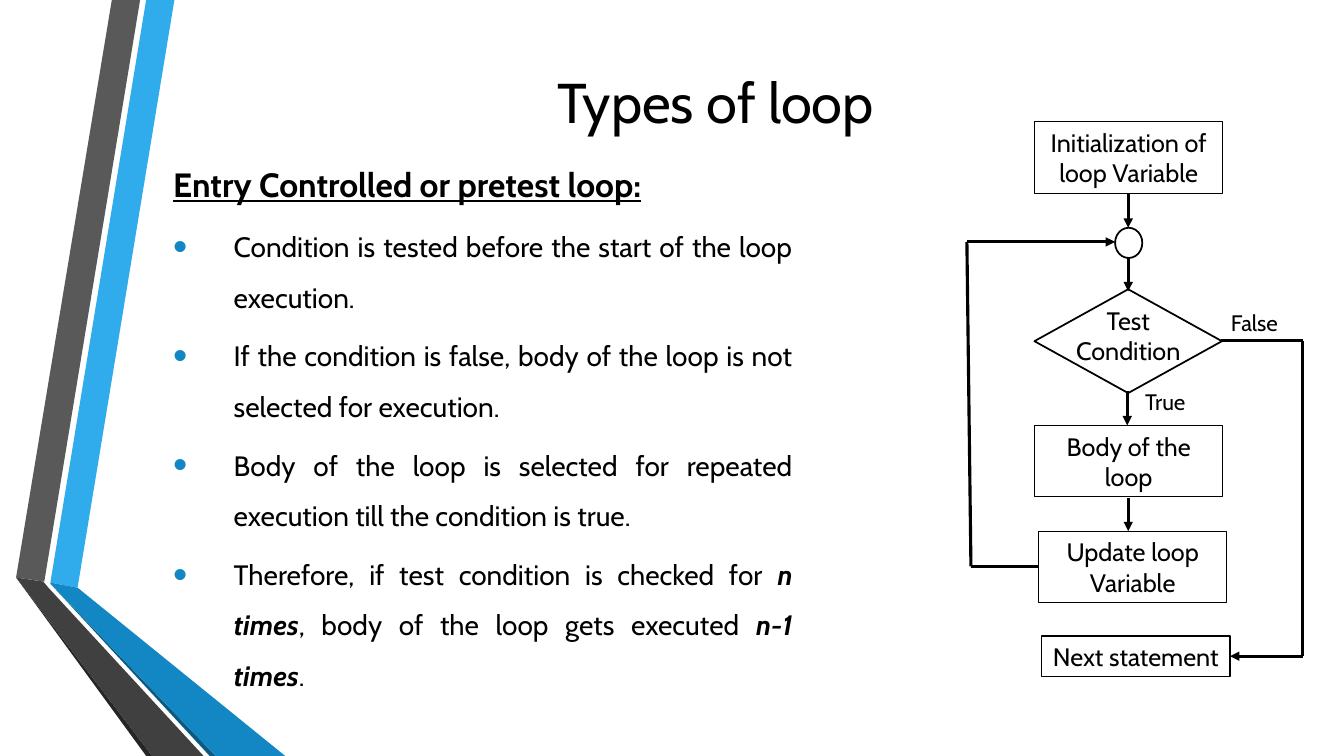
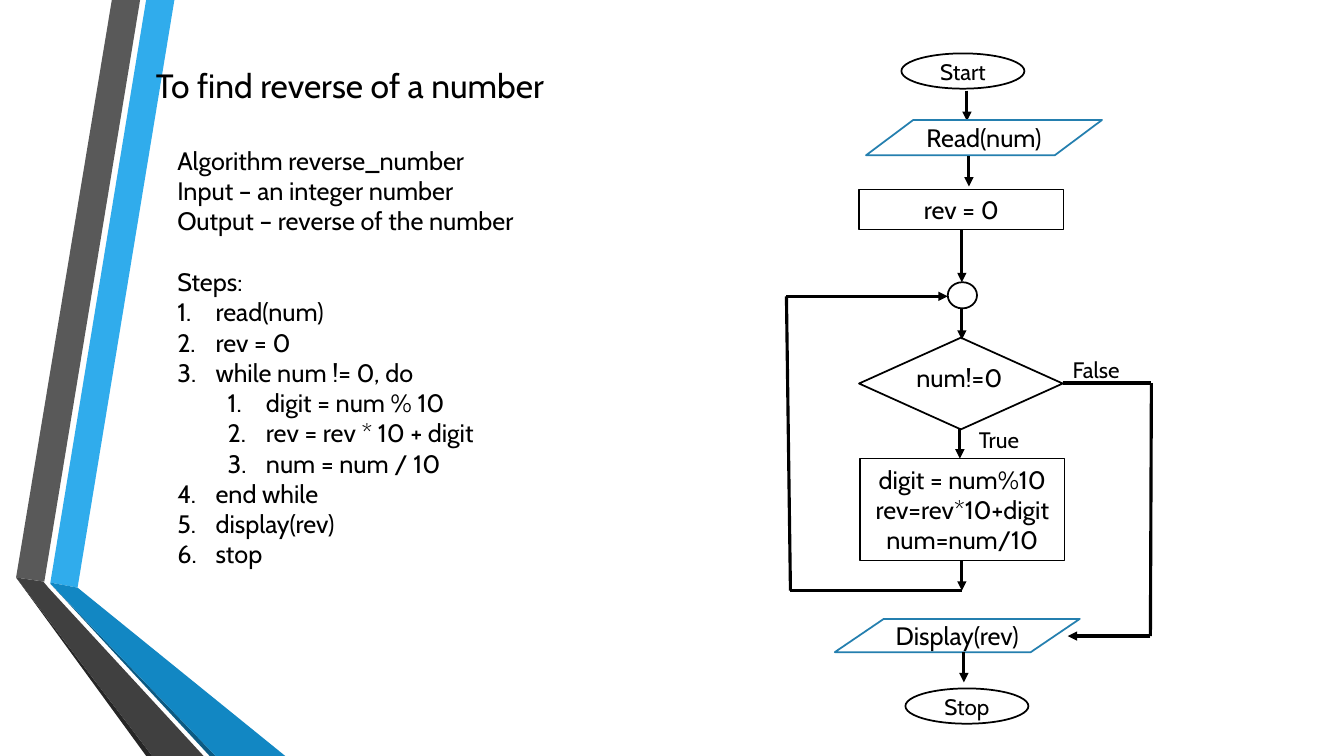
from dataclasses import dataclass
from itertools import pairwise

from lxml.etree import SubElement
from pptx import Presentation
from pptx.dml.color import RGBColor
from pptx.enum.shapes import MSO_CONNECTOR as Connector, MSO_SHAPE as Shape
from pptx.enum.text import MSO_ANCHOR as Anchor, MSO_AUTO_SIZE as AutoSize, PP_ALIGN as Align
from pptx.oxml.ns import qn
from pptx.util import Inches, Pt

FONT = "Cabin"
BLACK = RGBColor(0x00, 0x00, 0x00)
SKY = RGBColor(0x30, 0xAC, 0xEC)
BLUE = RGBColor(0x12, 0x87, 0xC3)
NAVY = RGBColor(0x0C, 0x5A, 0x82)
STEEL = RGBColor(0x24, 0x7F, 0xAF)
GRAY = RGBColor(0x59, 0x59, 0x59)
DARK_GRAY = RGBColor(0x40, 0x40, 0x40)
CHARCOAL = RGBColor(0x26, 0x26, 0x26)

Point = tuple[float, float]
Box = tuple[float, float, float, float]


@dataclass(frozen=True)
class Band:
    color: RGBColor
    points: tuple[Point, ...]


@dataclass(frozen=True)
class Node:
    kind: Shape
    box: Box
    text: str = ""
    line_width: float = 1.25
    color: RGBColor = BLACK
    size: int = 18


@dataclass(frozen=True)
class Label:
    text: str
    box: Box
    size: int = 16
    align: Align = Align.LEFT


@dataclass(frozen=True)
class Link:
    """A route of straight lines that ends in an arrowhead."""
    points: tuple[Point, ...]


@dataclass(frozen=True)
class Step:
    text: str
    level: int = 0


# Folded ribbons at the left edge of every slide
BANDS = (
    Band(SKY, ((0.5, 5.78), (0.77, 5.83), (1.73, 0), (1.45, 0))),
    Band(GRAY, ((1.39, 0), (1.11, 0), (0.16, 5.73), (0.44, 5.77))),
    Band(CHARCOAL, ((0.16, 5.73), (1.45, 7.5), (1.51, 7.5))),
    Band(NAVY, ((0.5, 5.79), (2.08, 7.5), (2.14, 7.5))),
    Band(BLUE, ((0.5, 5.79), (2.14, 7.5), (2.83, 7.5), (0.77, 5.83), (0.5, 5.78))),
    Band(DARK_GRAY, ((2.02, 7.5), (0.48, 5.83), (0.43, 5.77), (0.16, 5.73), (1.51, 7.5))),
)

# Bullets of slide 1: runs of (text, emphasised)
BULLETS = (
    (("Condition is tested before the start of the loop execution.", False),),
    (("If the condition is false, body of the loop is not selected for execution.", False),),
    (("Body of the loop is selected for repeated execution till the condition is true.", False),),
    (("Therefore, if test condition is checked for ", False), ("n times", True),
     (", body of the loop gets executed ", False), ("n-1 times", True), (".", False)),
)

LOOP_CHART = (
    Node(Shape.RECTANGLE, (10.26, 1.21, 1.87, 0.71), "Initialization of loop Variable", 0.75),
    Node(Shape.OVAL, (11.06, 2.26, 0.27, 0.3)),
    Label("Test Condition", (10.55, 2.98, 1.28, 0.71), 18, Align.CENTER),
    Node(Shape.FLOWCHART_DECISION, (10.26, 2.87, 1.86, 1.03)),
    Node(Shape.RECTANGLE, (10.26, 4.22, 1.87, 0.71), "Body of the loop", 0.75),
    Node(Shape.RECTANGLE, (10.3, 5.27, 1.87, 0.71), "Update loop Variable", 0.75),
    Node(Shape.RECTANGLE, (10.33, 6.31, 1.87, 0.4), "Next statement", 0.75),
    Link(((11.19, 1.92), (11.19, 2.26))),
    Link(((11.19, 2.55), (11.19, 2.89))),
    Link(((11.18, 3.88), (11.18, 4.22))),
    Link(((11.19, 4.94), (11.19, 5.27))),
    Link(((12.11, 3.38), (12.92, 3.38), (12.92, 6.51), (12.2, 6.51))),
    Link(((10.3, 5.62), (9.63, 5.62), (9.59, 2.4), (11.06, 2.4))),
    Label("False", (12.11, 3.02, 0.8, 0.37)),
    Label("True", (11.26, 3.8, 0.8, 0.37)),
)

INTRODUCTION = ("Algorithm reverse_number", "Input – an integer number",
                "Output – reverse of the number")
STEPS = (
    Step("read(num)"), Step("rev = 0"), Step("while num != 0, do"),
    Step("digit = num % 10", 1), Step("rev = rev * 10 + digit", 1), Step("num = num / 10", 1),
    Step("end while"), Step("display(rev)"), Step("stop"),
)

REVERSE_CHART = (
    Node(Shape.RECTANGLE, (8.52, 1.88, 2.03, 0.4), "rev = 0", 0.75),
    Node(Shape.OVAL, (9.4, 2.8, 0.29, 0.26)),
    Label("num!=0", (8.82, 3.55, 1.39, 0.4), 18, Align.CENTER),
    Node(Shape.FLOWCHART_DECISION, (8.52, 3.35, 2.02, 0.91)),
    Node(Shape.RECTANGLE, (8.53, 4.55, 2.03, 1.01),
         "digit = num%10\nrev=rev*10+digit\nnum=num/10", 0.75),
    Link(((9.54, 2.28), (9.54, 2.8))),
    Link(((9.54, 3.07), (9.54, 3.37))),
    Link(((9.52, 4.25), (9.52, 4.55))),
    Link(((9.54, 5.56), (9.54, 5.86))),
    Link(((10.54, 3.8), (11.42, 3.8), (11.41, 6.31), (10.59, 6.31))),
    Link(((9.54, 5.86), (7.84, 5.86), (7.8, 2.94), (9.4, 2.94))),
    Label("False", (10.54, 3.48, 0.87, 0.33)),
    Label("True", (9.61, 4.18, 0.87, 0.33)),
    Node(Shape.OVAL, (8.94, 0.53, 1.22, 0.35), "Start", size=16),
    Link(((9.59, 0.9), (9.59, 1.2))),
    Node(Shape.FLOWCHART_DATA, (8.59, 1.19, 2.34, 0.35), "Read(num)", color=STEEL),
    Link(((9.61, 1.55), (9.61, 1.85))),
    Node(Shape.FLOWCHART_DATA, (8.28, 6.14, 2.43, 0.33), "Display(rev)", color=STEEL),
    Node(Shape.OVAL, (8.98, 6.83, 1.22, 0.35), "Stop", size=16),
    Link(((9.56, 6.47), (9.56, 6.77))),
)


def inches(values) -> list:
    return [Inches(value) for value in values]


def set_attributes(target, values: dict) -> None:
    for name, value in values.items():
        setattr(target, name, value)


def add_run(paragraph, text: str, size: int, **formats) -> None:
    run = paragraph.add_run()
    run.text = text
    set_attributes(run.font, {"name": FONT, "size": Pt(size), **formats})
    run.font.color.rgb = BLACK


def write_lines(frame, text: str, size: int, align: Align, anchor: Anchor) -> None:
    set_attributes(frame, {"word_wrap": True, "auto_size": AutoSize.NONE,
                           "vertical_anchor": anchor})
    for index, line in enumerate(text.split("\n")):
        paragraph = frame.add_paragraph() if index else frame.paragraphs[0]
        paragraph.alignment = align
        add_run(paragraph, line, size)


def set_list_mark(paragraph, indent: float, hanging: float, marks: dict) -> None:
    properties = paragraph._p.get_or_add_pPr()
    properties.set("marL", str(Inches(indent)))
    properties.set("indent", str(-Inches(hanging)))
    for tag, attributes in marks.items():
        SubElement(properties, qn(tag), attributes)


def add_label(slide, label: Label):
    text_box = slide.shapes.add_textbox(*inches(label.box))
    write_lines(text_box.text_frame, label.text, label.size, label.align, Anchor.TOP)
    return text_box


def add_node(slide, node: Node) -> None:
    shape = slide.shapes.add_shape(node.kind, *inches(node.box))
    shape.shadow.inherit = False
    shape.fill.background()
    shape.line.color.rgb = node.color
    shape.line.width = Pt(node.line_width)
    if node.text:
        write_lines(shape.text_frame, node.text, node.size, Align.CENTER, Anchor.MIDDLE)


def add_link(slide, link: Link) -> None:
    for start, end in pairwise(link.points):
        line = slide.shapes.add_connector(Connector.STRAIGHT, *inches(start + end))
        line.line.color.rgb = BLACK
        line.line.width = Pt(2.25)
        if end == link.points[-1]:
            SubElement(line.line._get_or_add_ln(), qn("a:tailEnd"), {"type": "triangle"})
        SubElement(line.element.spPr, qn("a:effectLst"))


def draw_chart(slide, parts: tuple) -> None:
    painters = {Node: add_node, Label: add_label, Link: add_link}
    for part in parts:
        painters[type(part)](slide, part)


def add_bands(slide) -> None:
    """Draw the ribbons and move them to the layout, which all slides share."""
    for band in BANDS:
        start, *rest = [tuple(inches(point)) for point in band.points]
        builder = slide.shapes.build_freeform(*start)
        builder.add_line_segments(rest, close=True)
        shape = builder.convert_to_shape()
        shape.shadow.inherit = False
        shape.fill.solid()
        shape.fill.fore_color.rgb = band.color
        shape.line.fill.background()
        slide.slide_layout.shapes.element.append(shape.element)


def add_titled_slide(presentation, text: str, box: Box, size: int):
    slide = presentation.slides.add_slide(presentation.slide_layouts[5])
    title = slide.shapes.title
    set_attributes(title, dict(zip(("left", "top", "width", "height"), inches(box))))
    write_lines(title.text_frame, text, size, Align.CENTER, Anchor.MIDDLE)
    return slide


def add_loop_text(slide) -> None:
    frame = slide.shapes.add_textbox(*inches((1.62, 1.58, 6.34, 5.5))).text_frame
    frame.word_wrap = True
    heading = frame.paragraphs[0]
    heading.space_after = Pt(6)
    add_run(heading, "Entry Controlled or pretest loop:", 24, bold=True, underline=True)
    for runs in BULLETS:
        paragraph = frame.add_paragraph()
        set_attributes(paragraph, {"alignment": Align.JUSTIFY, "line_spacing": 1.5,
                                   "space_after": Pt(6)})
        set_list_mark(paragraph, 0.6, 0.6, {
            "a:buClr": {}, "a:buSzPct": {"val": "145000"},
            "a:buFont": {"typeface": "Arial"}, "a:buChar": {"char": "•"}})
        bullet_color = paragraph._p.pPr.find(qn("a:buClr"))
        SubElement(bullet_color, qn("a:srgbClr"), {"val": str(BLUE)})
        for text, emphasised in runs:
            add_run(paragraph, text, 20, bold=emphasised, italic=emphasised)


def add_algorithm(slide) -> None:
    label = Label("\n".join((*INTRODUCTION, "Steps:")), (1.66, 1.39, 3.59, 4.34), 18)
    frame = add_label(slide, label).text_frame
    frame.paragraphs[-1].space_before = Pt(21.9)
    for step in STEPS:
        paragraph = frame.add_paragraph()
        paragraph.level = step.level
        set_list_mark(paragraph, 0.38 + 0.5 * step.level, 0.38, {
            "a:buFont": {"typeface": FONT}, "a:buAutoNum": {"type": "arabicPeriod"}})
        add_run(paragraph, step.text, 18)


def main() -> None:
    presentation = Presentation()
    set_attributes(presentation, {"slide_width": Inches(13.33), "slide_height": Inches(7.5)})

    # Slide 1: entry controlled loop
    slide = add_titled_slide(presentation, "Types of loop", (1.62, 0.36, 10.96, 1.28), 40)
    add_bands(slide)
    add_loop_text(slide)
    draw_chart(slide, LOOP_CHART)

    # Slide 2: reversing a number
    slide = add_titled_slide(presentation, "To find reverse of a number",
                             (1.37, 0.49, 4.2, 0.71), 24)
    add_algorithm(slide)
    draw_chart(slide, REVERSE_CHART)

    presentation.save("out.pptx")


if __name__ == "__main__":
    main()
